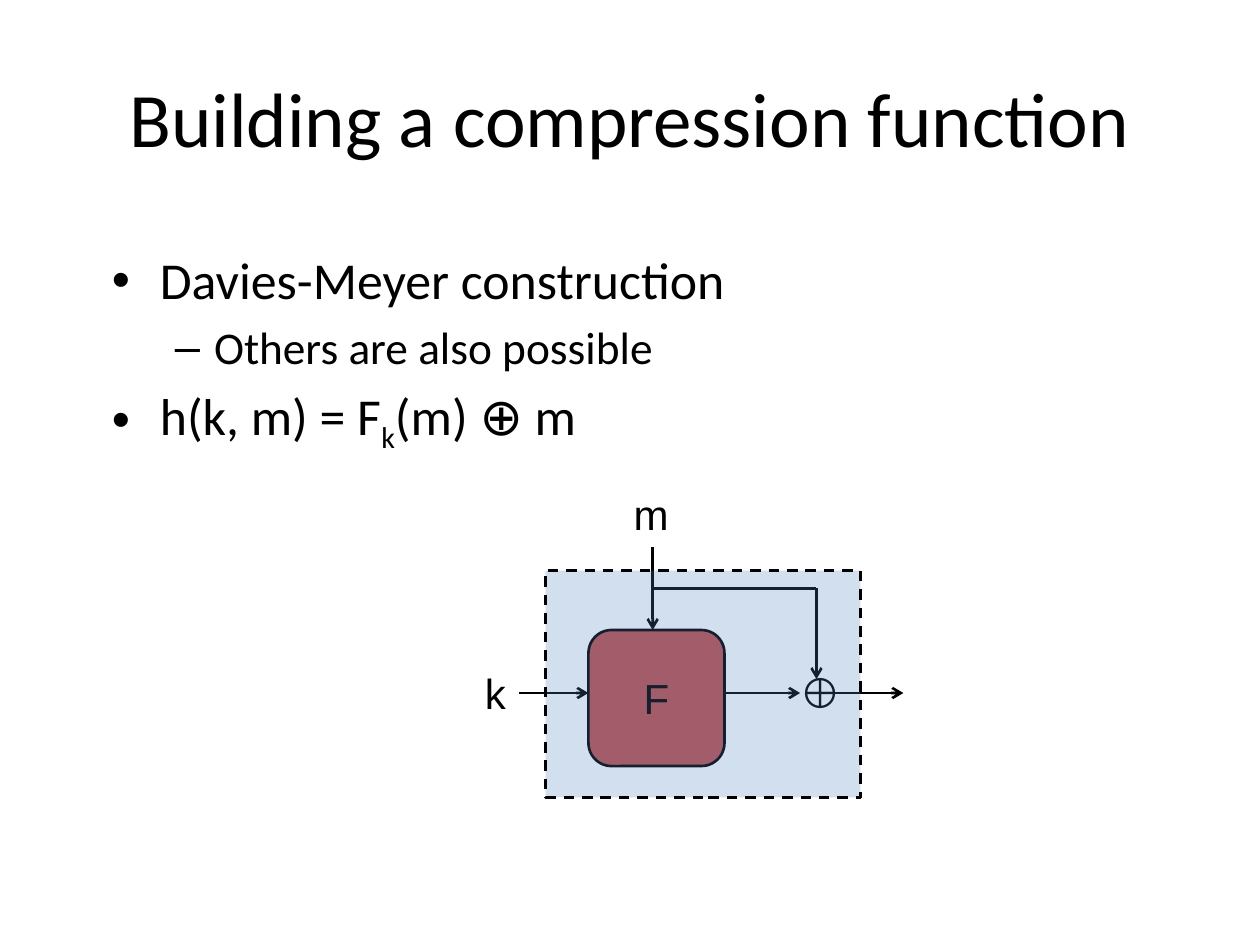
from dataclasses import dataclass

from lxml.etree import SubElement
from pptx import Presentation
from pptx.dml.color import RGBColor
from pptx.enum.dml import MSO_LINE
from pptx.enum.shapes import MSO_CONNECTOR, MSO_SHAPE
from pptx.enum.text import MSO_ANCHOR, MSO_AUTO_SIZE, PP_ALIGN
from pptx.oxml.ns import qn
from pptx.util import Inches, Pt


@dataclass(frozen=True)
class Theme:
    """Colours, fonts and type sizes of the slide."""
    ink: RGBColor = RGBColor(0x00, 0x00, 0x00)
    block: RGBColor = RGBColor(0xC0, 0x50, 0x4D)
    frame: RGBColor = RGBColor(0x4F, 0x81, 0xBD)
    text_font: str = "Calibri"
    label_font: str = "Arial"
    title_size: float = 44
    body_sizes: tuple = (29.6, 25.9)
    label_size: float = 24
    line_width: float = 1.5


THEME = Theme()
BULLETS = (("•", 0.38, 0.38), ("–", 0.81, 0.31))


def add_run(paragraph, text, size, font, baseline=0):
    """Append one formatted run to a paragraph."""
    run = paragraph.add_run()
    run.text = text
    run.font.size = Pt(size)
    run.font.name = font
    run.font.color.rgb = THEME.ink
    if baseline:
        run.font._element.set("baseline", str(baseline * 1000))


def add_text_box(slide, left, top, width, height, wrap=True):
    """Add an empty text box and return its text frame."""
    box = slide.shapes.add_textbox(Inches(left), Inches(top), Inches(width), Inches(height))
    box.text_frame.word_wrap = wrap
    return box.text_frame


def add_title(slide, text):
    """Add the centred slide title."""
    frame = add_text_box(slide, 0.5, 0.3, 9, 1.25)
    frame.vertical_anchor = MSO_ANCHOR.MIDDLE
    paragraph = frame.paragraphs[0]
    paragraph.alignment = PP_ALIGN.CENTER
    add_run(paragraph, text, THEME.title_size, THEME.text_font)


def add_bullets(slide, items):
    """Add the body list from pairs of level and (text, baseline) runs."""
    frame = add_text_box(slide, 0.79, 1.92, 8.41, 1.62)
    for index, (level, runs) in enumerate(items):
        paragraph = frame.add_paragraph() if index else frame.paragraphs[0]
        paragraph.level = level
        mark, margin, hanging = BULLETS[level]
        size = THEME.body_sizes[level]
        properties = paragraph._p.get_or_add_pPr()
        properties.set("marL", str(Inches(margin)))
        properties.set("indent", str(-Inches(hanging)))
        SubElement(properties, qn("a:buFont"), typeface=THEME.label_font)
        SubElement(properties, qn("a:buChar"), char=mark)
        if index:
            paragraph.space_before = Pt(0.2 * size)
        for text, baseline in runs:
            add_run(paragraph, text, size, THEME.text_font, baseline)


def add_label(slide, text, left, top, width):
    """Add a one-symbol diagram label."""
    frame = add_text_box(slide, left, top, width, 0.51, wrap=False)
    frame.auto_size = MSO_AUTO_SIZE.SHAPE_TO_FIT_TEXT
    add_run(frame.paragraphs[0], text, THEME.label_size, THEME.label_font)


def add_block(slide, kind, left, top, width, height, color):
    """Add a filled and outlined preset shape."""
    shape = slide.shapes.add_shape(kind, Inches(left), Inches(top), Inches(width), Inches(height))
    shape.shadow.inherit = False
    shape.fill.solid()
    shape.fill.fore_color.rgb = color
    shape.line.color.rgb = THEME.ink
    shape.line.width = Pt(THEME.line_width)
    return shape


def add_frame(slide):
    """Add the translucent dashed frame over the diagram."""
    shape = add_block(slide, MSO_SHAPE.RECTANGLE, 4.33, 4.53, 2.5, 1.8, THEME.frame)
    shape.line.dash_style = MSO_LINE.DASH
    color = shape._element.spPr.find(qn("a:solidFill")).find(qn("a:srgbClr"))
    SubElement(color, qn("a:alpha"), val="25000")


def add_line(slide, start, end, arrow=True):
    """Add a straight line, with an open arrowhead at its end if wanted."""
    points = [Inches(value) for value in (*start, *end)]
    connector = slide.shapes.add_connector(MSO_CONNECTOR.STRAIGHT, *points)
    connector.line.color.rgb = THEME.ink
    connector.line.width = Pt(THEME.line_width)
    if arrow:
        SubElement(connector.line._get_or_add_ln(), qn("a:tailEnd"), type="arrow")
    SubElement(connector._element.spPr, qn("a:effectLst"))


def add_diagram(slide):
    """Add the Davies-Meyer diagram."""
    input_x, branch_x = 5.18, 6.48
    branch_y, block_top, flow_y = 4.67, 5, 5.5
    block_left, block_size = 4.67, 1.08
    block = add_block(slide, MSO_SHAPE.ROUNDED_RECTANGLE, block_left, block_top,
                      block_size, block_size, THEME.block)
    block.adjustments[0] = 0.17
    for label in (("F", 5.01, 5.29, 0.41), ("k", 3.75, 5.25, 0.37),
                  ("m", 4.93, 3.83, 0.48), ("⊕", 6.25, 5.24, 0.46)):
        add_label(slide, *label)
    add_line(slide, (input_x, 4.34), (input_x, block_top))
    for start_x, end_x in ((4.12, block_left), (block_left + block_size, 6.35), (6.62, 7.17)):
        add_line(slide, (start_x, flow_y), (end_x, flow_y))
    add_line(slide, (input_x, branch_y), (branch_x, branch_y), arrow=False)
    add_line(slide, (branch_x, branch_y), (branch_x, 5.39))
    add_frame(slide)


def main():
    """Build the slide and save it."""
    presentation = Presentation()
    presentation.slide_width = Inches(10)
    presentation.slide_height = Inches(7.5)
    slide = presentation.slides.add_slide(presentation.slide_layouts[6])
    add_title(slide, "Building a compression function")
    add_bullets(slide, (
        (0, (("Davies-Meyer construction", 0),)),
        (1, (("Others are also possible", 0),)),
        (0, (("h(k, m) = F", 0), ("k", -25), ("(m) ⊕ m", 0))),
    ))
    add_diagram(slide)
    presentation.save("out.pptx")


if __name__ == "__main__":
    main()
